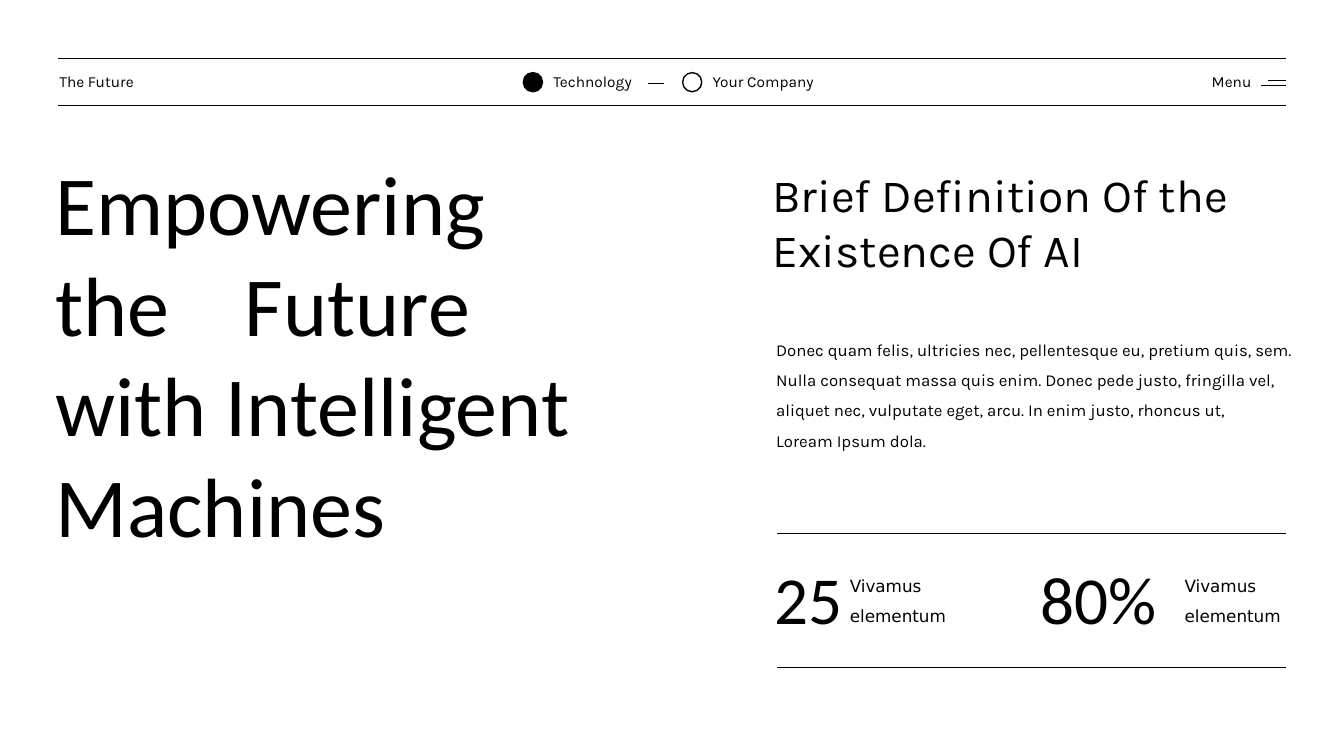
from pptx import Presentation
from pptx.dml.color import RGBColor
from pptx.enum.shapes import MSO_CONNECTOR, MSO_SHAPE
from pptx.enum.text import MSO_ANCHOR, MSO_AUTO_SIZE, PP_ALIGN
from pptx.oxml.ns import qn
from pptx.util import Inches, Pt
from lxml import etree

STRAIGHT = MSO_CONNECTOR.STRAIGHT
OVAL = MSO_SHAPE.OVAL
TOP = MSO_ANCHOR.TOP
FIT_SHAPE = MSO_AUTO_SIZE.SHAPE_TO_FIT_TEXT
LEFT = PP_ALIGN.LEFT
BLACK = "000000"
WHITE = "FFFFFF"
RIGHT_EDGE = 12.75


def rgb(value):
    return RGBColor.from_string(value)


def add_rule(s, left, y, right=RIGHT_EDGE, weight=0.75):
    line = s.shapes.add_connector(
        STRAIGHT, Inches(left), Inches(y), Inches(right), Inches(y))
    line.line.color.rgb = rgb(BLACK)
    line.line.width = Pt(weight)
    etree.SubElement(line._element.spPr, qn("a:effectLst"))


def add_dot(s, left, filled):
    dot = s.shapes.add_shape(
        OVAL, Inches(left), Inches(0.72), Inches(0.19), Inches(0.19))
    dot.shadow.inherit = False
    if filled:
        dot.fill.solid()
        dot.fill.fore_color.rgb = rgb(BLACK)
    else:
        dot.fill.background()
    dot.line.color.rgb = rgb(BLACK)
    dot.line.width = Pt(1)


def set_text(tf, text, font, size, spacing):
    tf.text = text
    tf.word_wrap = True
    tf.auto_size = FIT_SHAPE
    tf.vertical_anchor = TOP
    for p in tf.paragraphs:
        p.alignment = LEFT
        p.line_spacing = spacing
        for r in p.runs:
            r.font.name = font
            r.font.size = Pt(size)
            r.font.color.rgb = rgb(BLACK)


def add_text(s, box, text, font, size, spacing=1.0):
    sp = s.shapes.add_textbox(*map(Inches, box))
    set_text(sp.text_frame, text, font, size, spacing)


def add_tab_stop(p, position):
    tabs = etree.SubElement(p._p.get_or_add_pPr(), qn("a:tabLst"))
    etree.SubElement(tabs, qn("a:tab"), pos=str(Inches(position)), algn="l")


def add_title(s):
    title = s.shapes.title
    title.left, title.top = Inches(0.45), Inches(1.45)
    title.width, title.height = Inches(6.14), Inches(4.14)
    tf = title.text_frame
    set_text(tf, "Empowering\nthe\tFuture\nwith Intelligent\nMachines",
             "Calibri", 60, 1.0)
    add_tab_stop(tf.paragraphs[1], 1.88)


def add_navigation(s):
    for y in (0.58, 1.05):
        add_rule(s, 0.58, y)
    for left, width, label in (
            (0.49, 1.19, "The Future"), (5.39, 1.28, "Technology"),
            (6.97, 1.38, "Your Company"), (11.92, 0.83, "Menu")):
        add_text(s, (left, 0.67, width, 0.29), label, "Karla", 11)
    add_dot(s, 5.19, True)
    add_dot(s, 6.77, False)
    add_rule(s, 6.43, 0.83, 6.59, 1)
    add_rule(s, 12.58, 0.8, weight=1)
    add_rule(s, 12.51, 0.85, weight=1)


def add_stat(s, left, width, value, label_left):
    add_text(s, (left, 5.48, width, 0.91), value, "Calibri", 48)
    add_text(s, (label_left, 5.56, 1.51, 0.67), "Vivamus\nelementum",
             "DejaVu Sans", 12, 1.5)


def main():
    prs = Presentation()
    prs.slide_width, prs.slide_height = Inches(13.33), Inches(7.5)
    s = prs.slides.add_slide(prs.slide_layouts[5])
    s.background.fill.solid()
    s.background.fill.fore_color.rgb = rgb(WHITE)

    add_navigation(s)
    add_title(s)
    add_text(s, (7.56, 1.6, 5.45, 1.21),
             "Brief Definition Of the\nExistence Of AI", "Karla", 33)
    add_text(s, (7.6, 3.22, 5.53, 1.28),
             "Donec quam felis, ultricies nec, pellentesque eu, pretium quis, sem.\n"
             "Nulla consequat massa quis enim. Donec pede justo, fringilla vel,\n"
             "aliquet nec, vulputate eget, arcu. In enim justo, rhoncus ut,\n"
             "Loream Ipsum dola.", "Karla", 12, 1.5)
    for y in (5.29, 6.62):
        add_rule(s, 7.71, y)
    add_stat(s, 7.58, 1.3, "25", 8.33)
    add_stat(s, 10.22, 1.53, "80%", 11.65)
    prs.save("out.pptx")


if __name__ == "__main__":
    main()
